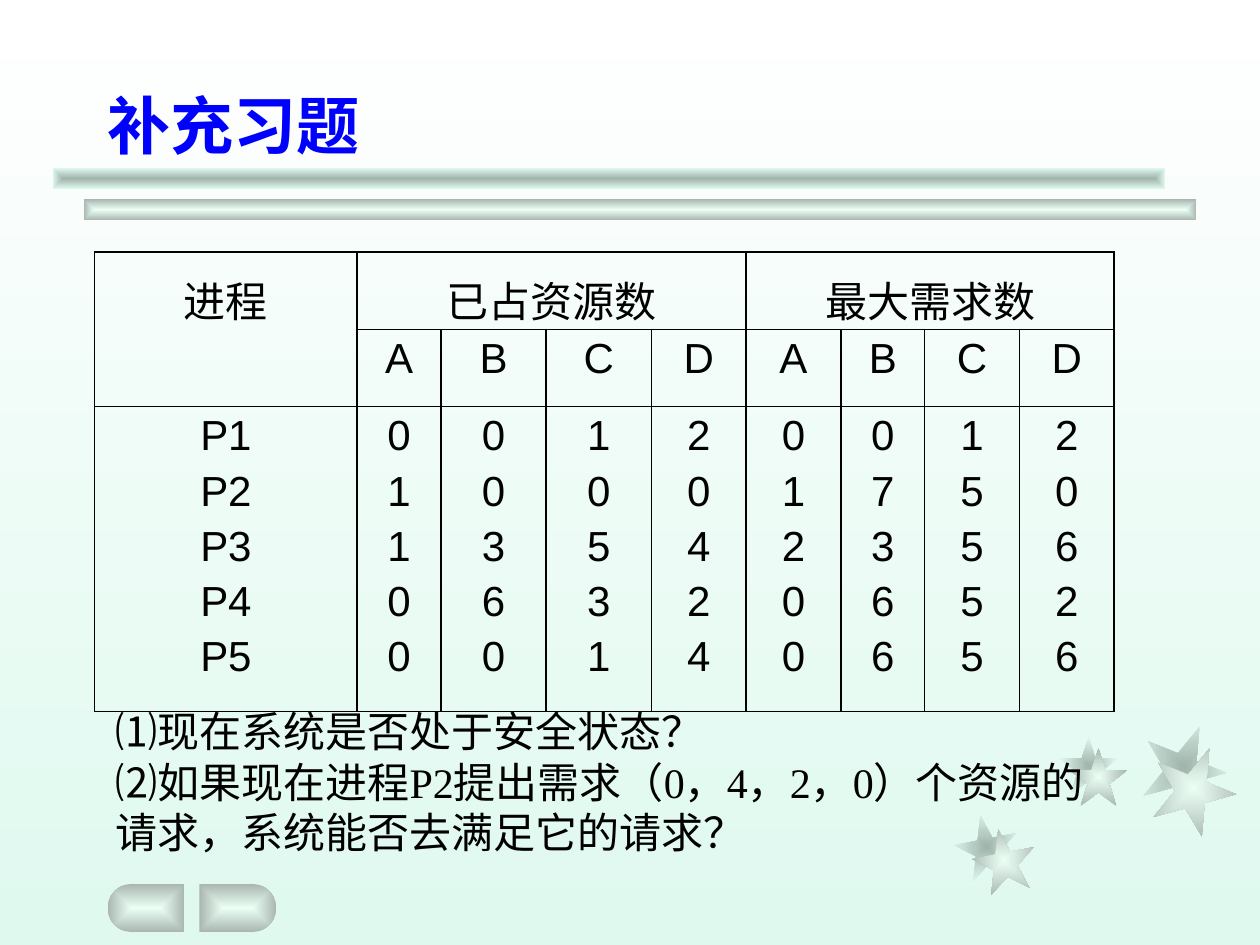
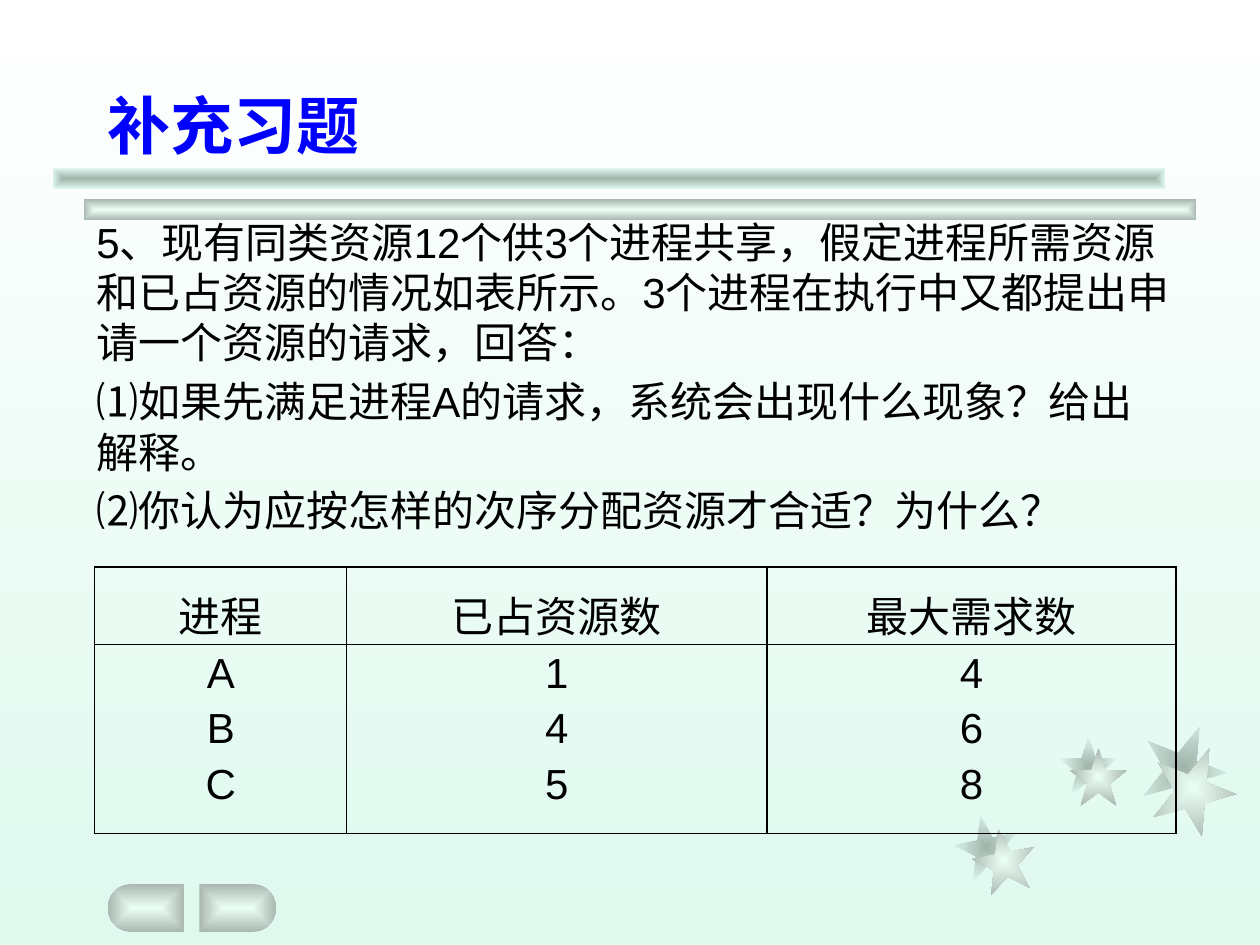
import math

import lxml.etree
import pptx
import pptx.dml.color
import pptx.enum.shapes
import pptx.enum.text
import pptx.oxml
import pptx.oxml.ns
import pptx.util

Cm = pptx.util.Cm
Pt = pptx.util.Pt
qn = pptx.oxml.ns.qn
PRESET = pptx.enum.shapes.MSO_SHAPE
ALIGN = pptx.enum.text.PP_ALIGN
ANCHOR = pptx.enum.text.MSO_ANCHOR

BACKGROUND = (("FFFFFF", None), ("DFF9EF", None))
DARK_CENTRE = (("DFF9EF", 47451), ("DFF9EF", None))
LIGHT_CENTRE = (("EBFFF5", None), ("EBFFF5", 47000))
INK = "000000"
TITLE_BLUE = "0000FF"
TITLE_BOX = (1.91, 1.27, 21.6, 2.12)
PARAGRAPH_GAP = 4.8
DRAWING = 'xmlns:a="http://schemas.openxmlformats.org/drawingml/2006/main"'


def colour(code):
    return pptx.dml.color.RGBColor.from_string(code)


def lengths(box):
    return [Cm(value) for value in box]


def move_to(shape, box):
    shape.left, shape.top, shape.width, shape.height = lengths(box)


def write(frame, text, size=24, font="Arial", ink=INK, bold=False,
          align=ALIGN.LEFT, gap=0):
    for index, line in enumerate(text.split("\n")):
        paragraph = frame.paragraphs[0] if index == 0 else frame.add_paragraph()
        paragraph.text = line
        paragraph.alignment = align
        paragraph.space_before = Pt(gap if index else 0)
        for run in paragraph.runs:
            run.font.size = Pt(size)
            run.font.name = font
            run.font.bold = bold
            run.font.color.rgb = colour(ink)


def gradient(fill, tones):
    fill.gradient()
    for stop, (code, shade), position in zip(fill.gradient_stops, tones, (0, 1)):
        stop.color.rgb = colour(code)
        stop.position = position
        if shade:
            tone = stop._gs.find(qn("a:srgbClr"))
            lxml.etree.SubElement(tone, qn("a:shade")).set("val", str(shade))


def bevel(shape, tones):
    shape.shadow.inherit = False
    shape.line.fill.background()
    gradient(shape.fill, tones)
    linear = shape._element.spPr.find(".//" + qn("a:lin"))
    centred = pptx.oxml.parse_xml(
        f'<a:path {DRAWING} path="shape">'
        '<a:fillToRect l="50000" t="50000" r="50000" b="50000"/></a:path>')
    linear.getparent().replace(linear, centred)


def add_stars(shapes, left, top):
    stars = [(0, 1.83, 1.27, 349, 0.36, 0.28),
             (2.11, 0.25, 1.17, 0, 0.2, 0.23),
             (3.76, 0, 1.7, 22, 0.2, 0.43)]
    for layer, tones in enumerate((DARK_CENTRE, LIGHT_CENTRE)):
        for x, y, size, turn, shift_x, shift_y in stars:
            box = (left + x + layer * shift_x, top + y + layer * shift_y, size, size)
            star = shapes.add_shape(PRESET.STAR_5_POINT, *lengths(box))
            star.rotation = turn
            bevel(star, tones)


def add_bars(shapes, left, top):
    for offset, tones in ((0.63, LIGHT_CENTRE), (0, DARK_CENTRE)):
        box = (left + offset, top + offset, 22.43, 0.42)
        bevel(shapes.add_shape(PRESET.RECTANGLE, *lengths(box)), tones)


def add_buttons(shapes, left, top):
    width, height, gap = 1.55, 0.97, 0.3
    radius = height / 2
    angles = [math.radians(90 + 15 * step) for step in range(13)]
    outline = [(width, 0)] + [
        (radius + radius * math.cos(angle), radius - radius * math.sin(angle))
        for angle in angles] + [(width, height)]
    mirrored = [(2 * width + gap - x, y) for x, y in outline]
    for points in (outline, mirrored):
        corners = [(Cm(left + x), Cm(top + y)) for x, y in points]
        builder = shapes.build_freeform(*corners[0])
        builder.add_line_segments(corners[1:], close=True)
        bevel(builder.convert_to_shape(), LIGHT_CENTRE)


def add_themed_slide(deck, layout_index, heading):
    slide = deck.slides.add_slide(deck.slide_layouts[layout_index])
    placeholders = list(slide.placeholders)
    add_stars(slide.shapes, 19.25, 14.6)
    add_bars(slide.shapes, 1.06, 3.39)
    add_buttons(slide.shapes, 2.17, 17.82)
    for placeholder in reversed(placeholders):
        slide.shapes._spTree.append(placeholder._element)
    add_title(slide, heading)
    return slide


def add_title(slide, text):
    title = slide.shapes.title
    move_to(title, TITLE_BOX)
    frame = title.text_frame
    frame.auto_size = pptx.enum.text.MSO_AUTO_SIZE.NONE
    frame.vertical_anchor = ANCHOR.BOTTOM
    write(frame, text, size=36, ink=TITLE_BLUE, bold=True)


def add_question(slide, box, text):
    question = slide.placeholders[1]
    move_to(question, box)
    frame = question.text_frame
    frame.auto_size = pptx.enum.text.MSO_AUTO_SIZE.NONE
    write(frame, text, gap=PARAGRAPH_GAP)
    for paragraph in frame.paragraphs:
        properties = paragraph._p.get_or_add_pPr()
        properties.set("marL", "0")
        properties.set("indent", "0")
        lxml.etree.SubElement(properties, qn("a:buNone"))


def add_subquestions(slide, box, text):
    frame = slide.shapes.add_textbox(*lengths(box)).text_frame
    frame.word_wrap = True
    write(frame, text, font="Times New Roman")


def outline_cell(cell):
    cell.fill.background()
    properties = cell._tc.get_or_add_tcPr()
    for index, side in enumerate("LRTB"):
        properties.insert(index, pptx.oxml.parse_xml(
            f'<a:ln{side} {DRAWING} w="12700"><a:solidFill>'
            f'<a:srgbClr val="{INK}"/></a:solidFill></a:ln{side}>'))


def add_process_table(slide, left, top, widths, heights, rows, merges=()):
    box = (left, top, sum(widths), sum(heights))
    table = slide.shapes.add_table(
        len(heights), len(widths), *lengths(box)).table
    table.first_row = table.horz_banding = False
    for column, width in zip(table.columns, widths):
        column.width = Cm(width)
    for row, height in zip(table.rows, heights):
        row.height = Cm(height)
    for first, last in merges:
        table.cell(*first).merge(table.cell(*last))
    for r, texts in enumerate(rows):
        for c, text in enumerate(texts):
            cell = table.cell(r, c)
            outline_cell(cell)
            if text:
                if r == 0:
                    cell.margin_top, cell.margin_bottom = Cm(0.33), Cm(0)
                write(cell.text_frame, text, align=ALIGN.CENTER,
                      gap=PARAGRAPH_GAP)


def stacked(*records):
    return ["\n".join(values) for values in zip(*(r.split() for r in records))]


def build_safety_slide(deck):
    slide = add_themed_slide(deck, 5, "补充习题")
    add_process_table(
        slide, 1.91, 5.08,
        [5.29, 1.69, 2.12, 2.12, 1.91, 1.91, 1.69, 1.91, 1.91],
        [1.48, 1.48, 6.15],
        [["进程", "已占资源数", "", "", "", "最大需求数", "", "", ""],
         ["", *"ABCDABCD"],
         stacked("P1 0 0 1 2 0 0 1 2",
                 "P2 1 0 0 0 1 7 5 0",
                 "P3 1 3 5 4 2 3 5 6",
                 "P4 0 6 3 2 0 6 5 2",
                 "P5 0 0 1 4 0 6 5 6")],
        merges=[((0, 0), (1, 0)), ((0, 1), (0, 4)), ((0, 5), (0, 8))])
    add_subquestions(
        slide, (2.08, 14.1, 20.15, 3.3),
        "⑴现在系统是否处于安全状态？\n"
        "⑵如果现在进程P2提出需求（0，4，2，0）个资源的请求，系统能否去满足它的请求？")


def build_allocation_slide(deck):
    slide = add_themed_slide(deck, 1, "补充习题")
    add_question(
        slide, (1.69, 4.23, 22.23, 13.97),
        "5、现有同类资源12个供3个进程共享，假定进程所需资源和已占资源的情况如表所示。"
        "3个进程在执行中又都提出申请一个资源的请求，回答：\n"
        "⑴如果先满足进程A的请求，系统会出现什么现象？给出解释。\n"
        "⑵你认为应按怎样的次序分配资源才合适？为什么？")
    add_process_table(
        slide, 1.91, 11.43, [5.08, 8.47, 8.25], [1.48, 3.81],
        [["进程", "已占资源数", "最大需求数"],
         stacked("A 1 4", "B 4 6", "C 5 8")])


def main():
    deck = pptx.Presentation()
    deck.slide_width, deck.slide_height = Cm(25.4), Cm(19.05)
    backdrop = deck.slide_master.background.fill
    gradient(backdrop, BACKGROUND)
    backdrop.gradient_angle = 270
    build_safety_slide(deck)
    build_allocation_slide(deck)
    deck.save("out.pptx")


if __name__ == "__main__":
    main()
